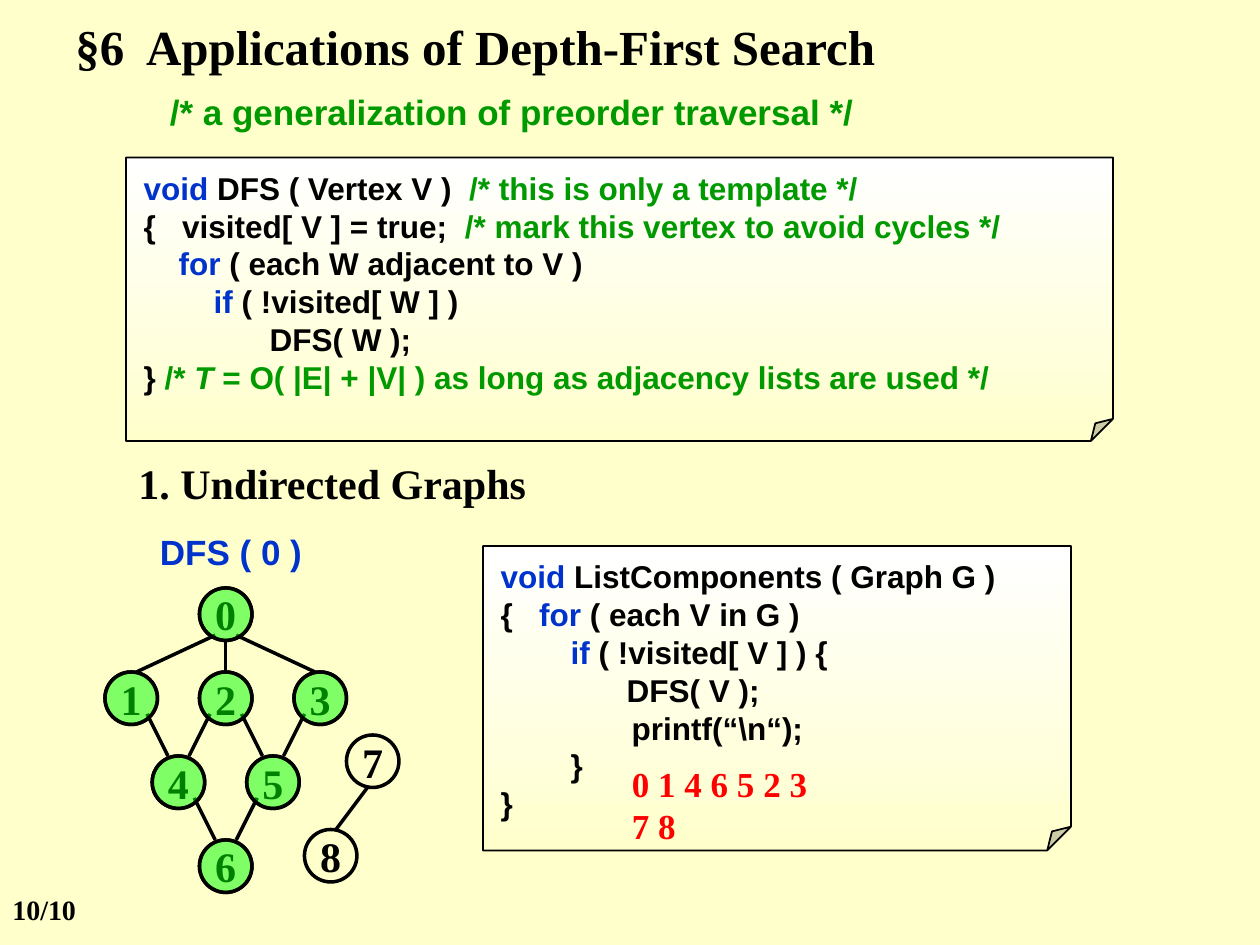
from dataclasses import dataclass

from lxml import etree
from pptx import Presentation
from pptx import util as u
from pptx.dml.color import RGBColor
from pptx.enum import shapes, text
from pptx.oxml.ns import qn


@dataclass(frozen=True)
class Theme:
    paper: str = "FFFFCC"
    white: str = "FFFFFF"
    ink: str = "000000"
    keyword: str = "0033CC"
    comment: str = "009900"
    output: str = "FF0000"
    visited: str = "00FF00"
    serif: str = "Times New Roman"
    sans: str = "Arial"
    title: int = 28
    heading: int = 24
    label: int = 20
    code: int = 18
    page: int = 16


T = Theme()
COLS, ROWS = 120, 90
CELL = u.Inches(10) / COLS
NODE = 5

# Node number: column and row of its top left corner
MAIN_NODES = {0: (19, 56), 1: (10, 64), 2: (19, 64), 3: (28, 64),
              4: (14.5, 72), 5: (23.5, 72), 6: (19, 80)}
SIDE_NODES = {7: (33, 70), 8: (29, 79)}
# Upper node, lower node, sideways shift at each end, drop below the upper top
ROOT_EDGES = [(0, 1, 1, 0.5, 4.5), (0, 2, 0, 0, NODE), (0, 3, 1, 0.5, 4.5)]
LOWER_EDGES = [(a, b, 1.5, 1, 4) for a, b in
               [(1, 4), (2, 4), (2, 5), (3, 5), (4, 6), (5, 6)]]
SIDE_EDGES = [(7, 8, 0.5, 0.5, NODE)]

DFS_CODE = [
    [("void", T.keyword), (" DFS ( Vertex V )  ",),
     ("/* this is only a template */", T.comment)],
    [("{   visited[ V ] = true;  ",),
     ("/* mark this vertex to avoid cycles */", T.comment)],
    [("    ",), ("for", T.keyword), (" ( each W adjacent to V )",)],
    [("        ",), ("if", T.keyword), (" ( !visited[ W ] )",)],
    [("\tDFS( W );",)],
    [("} ",), ("/* ", T.comment), ("T", T.comment, True),
     (" = O( |E| + |V| ) as long as adjacency lists are used */", T.comment)],
]
LIST_CODE = [
    [("void", T.keyword), (" ListComponents ( Graph G )",)],
    [("{   ",), ("for", T.keyword), (" ( each V in G )",)],
    [("        ",), ("if", T.keyword), (" ( !visited[ V ] ) {",)],
    [("\tDFS( V );",)],
    [("               printf(“\\n“);",)],
    [("        }",)],
    [("}",)],
]


def grid(*cells):
    return [u.Emu(round(c * CELL)) for c in cells]


def rgb(value):
    return RGBColor.from_string(value)


def add_run(p, size, font, words, color=T.ink, italic=False):
    r = p.add_run()
    r.text = words
    r.font.size, r.font.name = u.Pt(size), font
    r.font.bold, r.font.italic = True, italic
    r.font.color.rgb = rgb(color)


def write(sp, lines, size, font, align=text.PP_ALIGN.LEFT,
          anchor=text.MSO_ANCHOR.TOP, wrap=True, inset=(0.1, 0.05)):
    """Fill a shape with lines of (text, colour, italic) runs."""
    tf = sp.text_frame
    tf.word_wrap, tf.vertical_anchor = wrap, anchor
    tf.margin_left, tf.margin_top = map(u.Inches, inset)
    tf.margin_right, tf.margin_bottom = u.Inches(0.1), u.Inches(0.05)
    for i, line in enumerate(lines):
        p = tf.add_paragraph() if i else tf.paragraphs[0]
        p.alignment = align
        if any("\t" in run[0] for run in line):
            tabs = etree.SubElement(p._p.get_or_add_pPr(), qn("a:tabLst"))
            etree.SubElement(tabs, qn("a:tab"), pos=str(u.Inches(1)), algn="l")
        for run in line:
            add_run(p, size, font, *run)


def label(s, box, lines, size, font, color=T.ink, **layout):
    sp = s.shapes.add_textbox(*grid(*box))
    write(sp, [[(line, color)] for line in lines], size, font, **layout)


def code_note(s, box, lines):
    sp = s.shapes.add_shape(shapes.MSO_SHAPE.FOLDED_CORNER, *grid(*box))
    sp.shadow.inherit = False
    geometry = sp._element.spPr.find(qn("a:prstGeom"))
    fold = geometry.find(qn("a:avLst"))
    etree.SubElement(fold, qn("a:gd"), name="adj", fmla="val 7800")
    sp.fill.gradient()
    sp.fill.gradient_angle = 270
    for stop, color in zip(sp.fill.gradient_stops, (T.white, T.paper)):
        stop.color.rgb = rgb(color)
    sp.line.color.rgb, sp.line.width = rgb(T.ink), u.Pt(1)
    write(sp, lines, T.code, T.sans, inset=(0.14, 0.09))


def circle(parent, spot):
    sp = parent.add_shape(shapes.MSO_SHAPE.OVAL, *grid(*spot, NODE, NODE))
    sp.shadow.inherit = False
    sp.fill.background()
    sp.line.color.rgb, sp.line.width = rgb(T.ink), u.Pt(2)
    return sp


def edge(parent, upper, lower, start_shift, end_shift, drop):
    side = 1 if lower[0] > upper[0] else -1
    x1 = upper[0] + NODE / 2 + side * start_shift
    x2 = lower[0] + NODE / 2 - side * end_shift
    ln = parent.add_connector(shapes.MSO_CONNECTOR.STRAIGHT,
                              *grid(x1, upper[1] + drop, x2, lower[1]))
    ln.line.color.rgb, ln.line.width = rgb(T.ink), u.Pt(2)
    etree.SubElement(ln._element.spPr, qn("a:effectLst"))


def graph(s, nodes, edges):
    parts = s.shapes.add_group_shape().shapes
    for number, spot in nodes.items():
        write(circle(parts, spot), [[(str(number),)]], T.heading, T.serif,
              text.PP_ALIGN.CENTER, text.MSO_ANCHOR.MIDDLE, wrap=False)
    for a, b, *shifts in edges:
        edge(parts, nodes[a], nodes[b], *shifts)


def mark_visited(s, nodes):
    """Lay a half-transparent disc over each node."""
    for spot in nodes.values():
        sp = circle(s.shapes, spot)
        sp.fill.solid()
        sp.fill.fore_color.rgb = rgb(T.visited)
        color = sp._element.spPr.find(qn("a:solidFill"))[0]
        etree.SubElement(color, qn("a:alpha"), val="50000")


def dfs_slide(prs):
    s = prs.slides.add_slide(prs.slide_layouts[6])
    s.background.fill.solid()
    s.background.fill.fore_color.rgb = rgb(T.paper)
    label(s, (6, 1, 98, 6.9), ["§6  Applications of Depth-First Search"],
          T.title, T.serif)
    label(s, (15, 8, 73, 5.3), ["/* a generalization of preorder traversal */"],
          T.label, T.sans, T.comment)
    code_note(s, (12, 15, 94, 27), DFS_CODE)
    graph(s, MAIN_NODES, ROOT_EDGES + LOWER_EDGES)
    mark_visited(s, MAIN_NODES)
    label(s, (14, 50, 16, 5), ["DFS ( 0 )"], T.label, T.sans, T.keyword,
          align=text.PP_ALIGN.CENTER, anchor=text.MSO_ANCHOR.MIDDLE, wrap=False)
    label(s, (12, 43, 44, 6), ["1. Undirected Graphs"], T.heading, T.serif)
    code_note(s, (46, 52, 56, 29), LIST_CODE)
    graph(s, SIDE_NODES, SIDE_EDGES)
    label(s, (59, 72, 22, 9.3), ["0 1 4 6 5 2 3", "7 8"],
          T.label, T.serif, T.output)
    label(s, (0, 84.4, 9, 4.4), ["10/10"], T.page, T.serif)


def main():
    prs = Presentation()
    prs.slide_width, prs.slide_height = grid(COLS, ROWS)
    dfs_slide(prs)
    prs.save("out.pptx")


if __name__ == "__main__":
    main()
